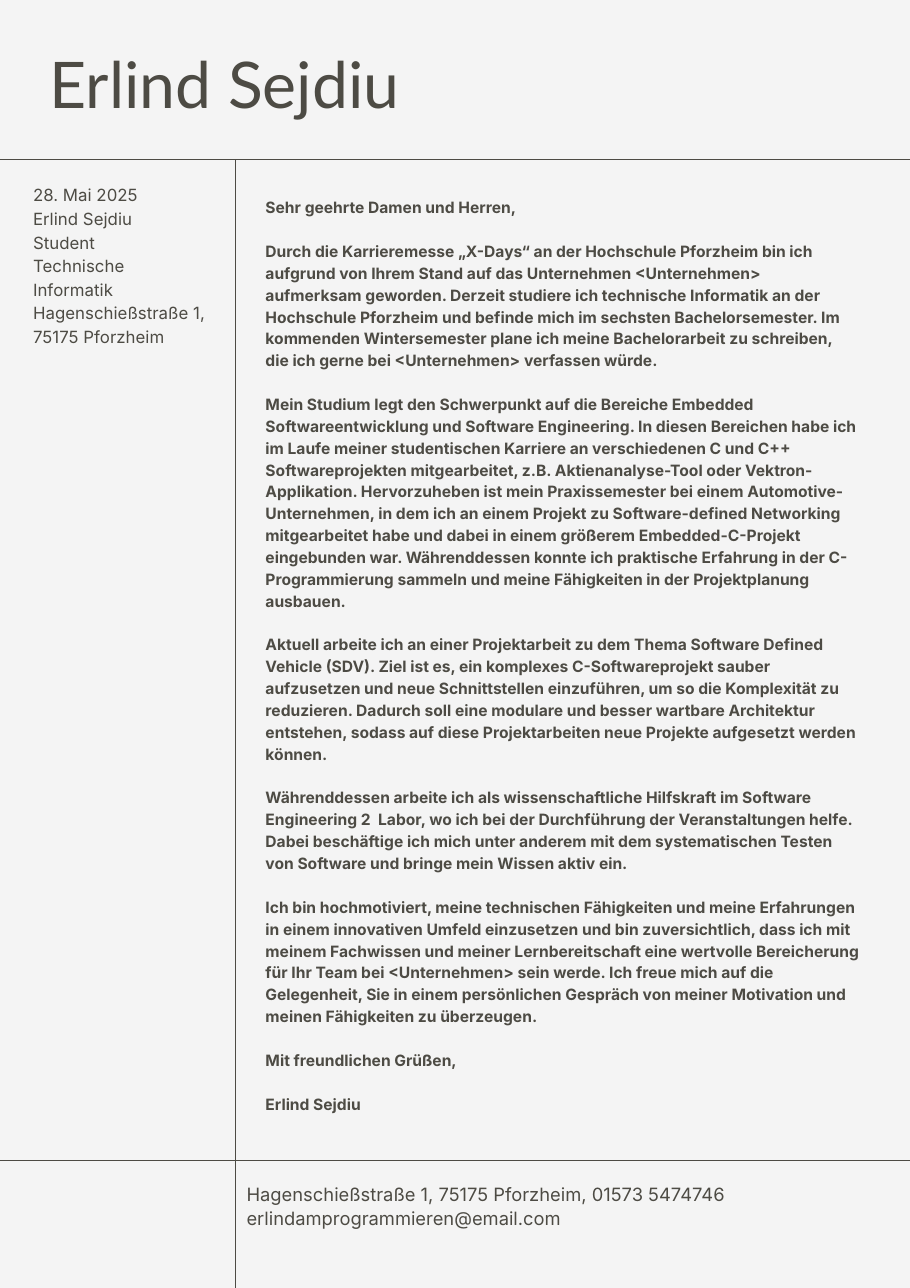
from pptx import Presentation
from pptx.dml.color import RGBColor as Rgb
from pptx.enum.shapes import MSO_CONNECTOR as Conn
from pptx.enum.text import MSO_AUTO_SIZE as Fit
from pptx.oxml.ns import qn
from pptx.util import Inches, Pt
from lxml.etree import SubElement

COLORS = {"paper": "F4F4F4", "ink": "4D4B44"}

NAME = "Erlind Sejdiu"
SENDER = [
    "28. Mai 2025",
    NAME,
    "Student",
    "Technische Informatik",
    "Hagenschießstraße 1,",
    "75175 Pforzheim",
]
LETTER = [
    "Sehr geehrte Damen und Herren,",
    "Durch die Karrieremesse „X-Days“ an der Hochschule Pforzheim bin ich "
    "aufgrund von Ihrem Stand auf das Unternehmen <Unternehmen> aufmerksam "
    "geworden. Derzeit studiere ich technische Informatik an der Hochschule "
    "Pforzheim und befinde mich im sechsten Bachelorsemester. Im kommenden "
    "Wintersemester plane ich meine Bachelorarbeit zu schreiben, die ich "
    "gerne bei <Unternehmen> verfassen würde.",
    "Mein Studium legt den Schwerpunkt auf die Bereiche Embedded "
    "Softwareentwicklung und Software Engineering. In diesen Bereichen habe "
    "ich im Laufe meiner studentischen Karriere an verschiedenen C und C++ "
    "Softwareprojekten mitgearbeitet, z.B. Aktienanalyse-Tool oder "
    "Vektron-Applikation. Hervorzuheben ist mein Praxissemester bei einem "
    "Automotive-Unternehmen, in dem ich an einem Projekt zu "
    "Software-defined Networking mitgearbeitet habe und dabei in einem "
    "größerem Embedded-C-Projekt eingebunden war. Währenddessen konnte ich "
    "praktische Erfahrung in der C-Programmierung sammeln und meine "
    "Fähigkeiten in der Projektplanung ausbauen.",
    "Aktuell arbeite ich an einer Projektarbeit zu dem Thema Software "
    "Defined Vehicle (SDV). Ziel ist es, ein komplexes C-Softwareprojekt "
    "sauber aufzusetzen und neue Schnittstellen einzuführen, um so die "
    "Komplexität zu reduzieren. Dadurch soll eine modulare und besser "
    "wartbare Architektur entstehen, sodass auf diese Projektarbeiten neue "
    "Projekte aufgesetzt werden können.",
    "Währenddessen arbeite ich als wissenschaftliche Hilfskraft im Software "
    "Engineering 2  Labor, wo ich bei der Durchführung der Veranstaltungen "
    "helfe. Dabei beschäftige ich mich unter anderem mit dem systematischen "
    "Testen von Software und bringe mein Wissen aktiv ein.",
    "Ich bin hochmotiviert, meine technischen Fähigkeiten und meine "
    "Erfahrungen in einem innovativen Umfeld einzusetzen und bin "
    "zuversichtlich, dass ich mit meinem Fachwissen und meiner "
    "Lernbereitschaft eine wertvolle Bereicherung für Ihr Team bei "
    "<Unternehmen> sein werde. Ich freue mich auf die Gelegenheit, Sie in "
    "einem persönlichen Gespräch von meiner Motivation und meinen "
    "Fähigkeiten zu überzeugen.",
    "Mit freundlichen Grüßen,",
    NAME,
]
CONTACT = [
    "Hagenschießstraße 1, 75175 Pforzheim, 01573 5474746 "
    "erlindamprogrammieren@email.com"
]


def add_text(slide, box, lines, size, lead, font="Inter", bold=False, gap=0, inset=(0, 0)):
    frame = slide.shapes.add_textbox(*map(Inches, box)).text_frame
    frame.word_wrap = True
    frame.auto_size = Fit.SHAPE_TO_FIT_TEXT
    frame.margin_left = frame.margin_right = Inches(inset[0])
    frame.margin_top = frame.margin_bottom = Inches(inset[1])
    for i, line in enumerate(lines):
        par = frame.paragraphs[0] if i == 0 else frame.add_paragraph()
        par.text = line
        par.line_spacing = Pt(lead)
        if i and gap:
            par.space_before = Pt(gap)
        par.font.name = font
        par.font.size = Pt(size)
        par.font.bold = bold
        par.font.color.rgb = Rgb.from_string(COLORS["ink"])


def add_rule(slide, x1, y1, x2, y2):
    rule = slide.shapes.add_connector(Conn.STRAIGHT, *map(Inches, (x1, y1, x2, y2)))
    rule.line.color.rgb = Rgb.from_string(COLORS["ink"])
    rule.line.width = Pt(0.75)
    SubElement(rule._element.spPr, qn("a:effectLst"))


def add_header(slide, x, y, w, h):
    add_text(slide, (x + 0.45, y + 0.4, 4.57, 0.71), [NAME], 42, 50.8, font="Lato")
    add_rule(slide, x - 0.46, y + h, x + w + 0.46, y + h)


def add_sender(slide, x, y, w, h):
    add_text(slide, (x + 0.3, y + 0.2, 1.6, 1.25), SENDER, 11, 15.4)
    add_rule(slide, x + w, y, x + w, y + h)


def add_letter(slide, x, y, w, h):
    add_text(slide, (x + 0.27, y + 0.32, w - 0.73, h - 0.85), LETTER, 10.2, 14.3,
             bold=True, gap=14.3)
    add_rule(slide, -0.33, y + h, x + w + 0.34, y + h)


def add_footer(slide, x, y, w, h):
    add_text(slide, (x, y + 0.15, w - 1.29, h - 0.65), CONTACT, 12, 15.4, inset=(0.1, 0.05))


def main():
    deck = Presentation()
    deck.slide_width, deck.slide_height = Inches(8.26), Inches(11.69)
    slide = deck.slides.add_slide(deck.slide_layouts[6])
    fill = slide.background.fill
    fill.solid()
    fill.fore_color.rgb = Rgb.from_string(COLORS["paper"])

    top, low, mid = 1.45, 10.53, 2.14
    add_header(slide, 0, 0, 8.26, top)
    add_sender(slide, 0, top, mid, 10.33)
    add_letter(slide, mid, top, 8.26 - mid, low - top)
    add_footer(slide, mid, low, 8.26 - mid, 11.69 - low)
    deck.save("out.pptx")


if __name__ == "__main__":
    main()
